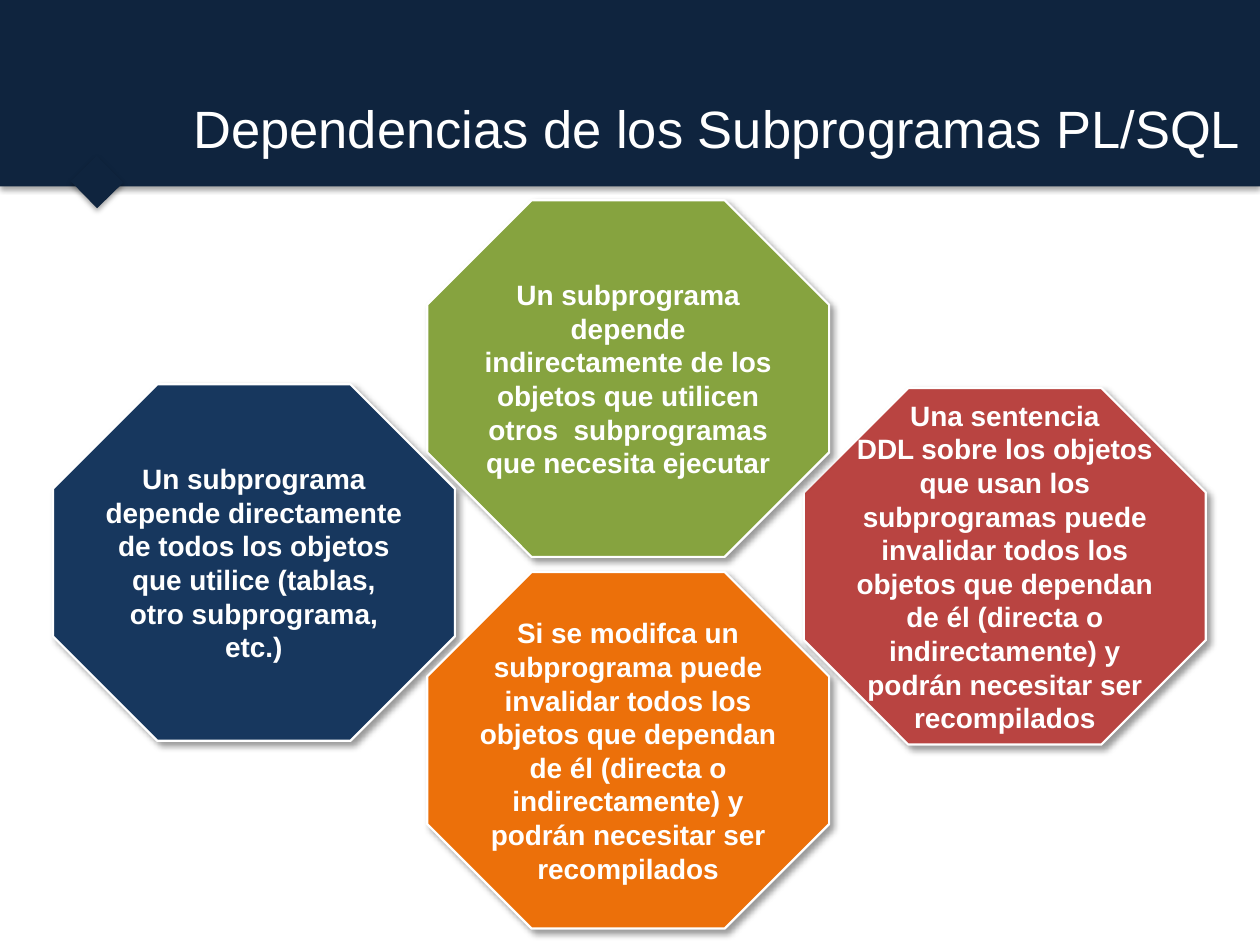
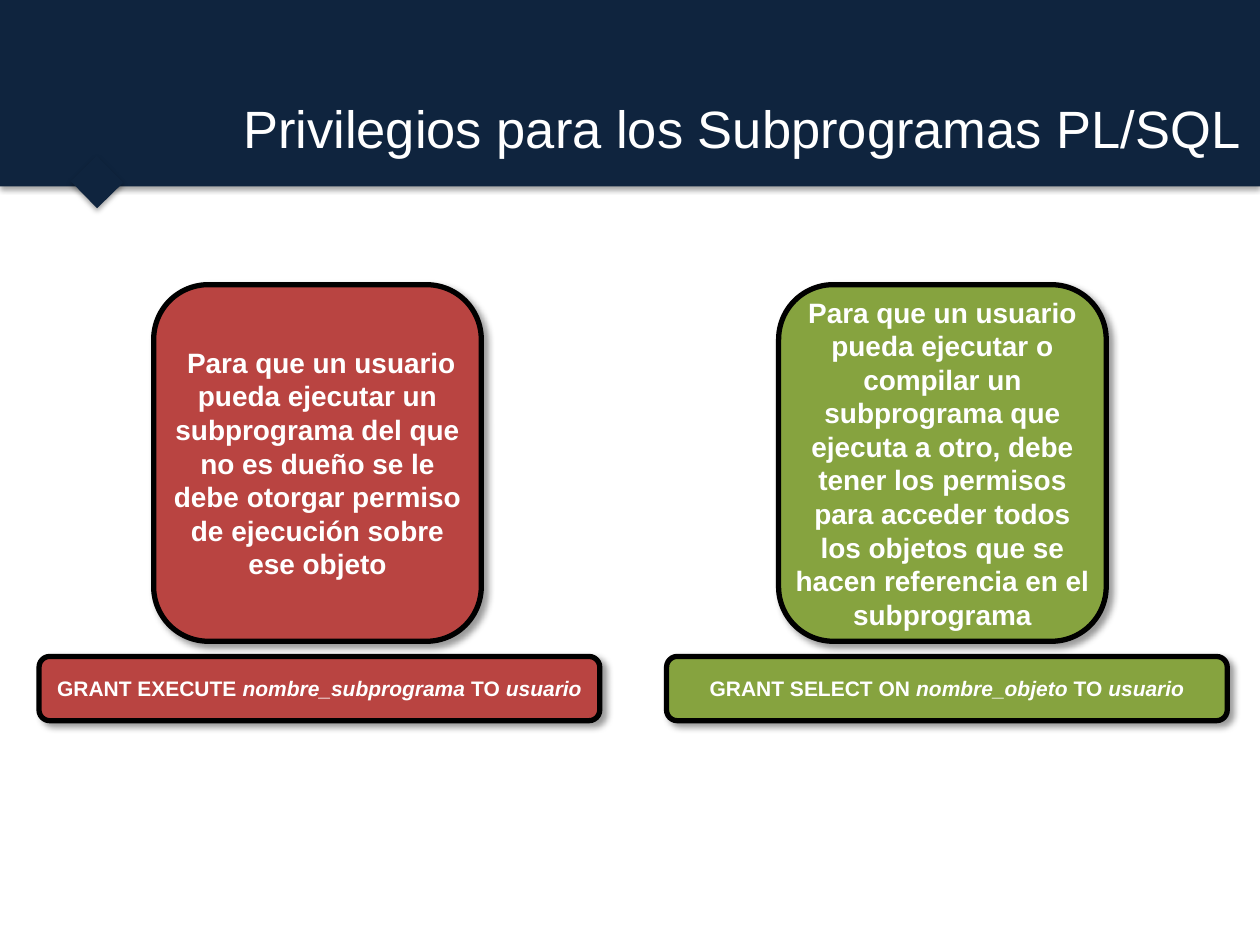
import pptx
import pptx.util
import pptx.dml.color
import pptx.enum.shapes
import pptx.enum.text
import pptx.oxml.ns
from lxml import etree
from dataclasses import dataclass

Inches = pptx.util.Inches
Shapes = pptx.enum.shapes.MSO_SHAPE
Align = pptx.enum.text.PP_ALIGN


@dataclass(frozen=True)
class Theme:
    font: str = "Arial"
    navy: str = "0F243E"
    blue: str = "17375E"
    green: str = "86A33F"
    red: str = "B94441"
    orange: str = "EC700A"
    white: str = "FFFFFF"
    black: str = "000000"
    title_size: int = 30
    body_size: int = 16
    code_size: int = 12
    # Shadows: opacity %, blur pt, distance pt, angle
    band_shadow: tuple = (35, 3.1, 1.8, 90)
    box_shadow: tuple = (40, 4, 3, 45)


THEME = Theme()

# Content: line breaks separate paragraphs, asterisks enclose italics
DEPENDENCIES_TITLE = "Dependencias de los Subprogramas PL/SQL"
OCTAGON_SIZE = (3.19, 2.83)
OCTAGONS = [  # left, top, fill, text
    (6.38, 3.08, THEME.red,
     " Una sentencia \nDDL sobre los objetos \nque usan los subprogramas puede invalidar "
     "todos los objetos que dependan de él (directa o indirectamente) y podrán necesitar "
     "ser recompilados"),
    (3.39, 1.59, THEME.green,
     "Un subprograma depende indirectamente de los objetos que utilicen otros  "
     "subprogramas que necesita ejecutar"),
    (0.42, 3.05, THEME.blue,
     "Un subprograma depende directamente de todos los objetos que utilice (tablas, "
     "otro subprograma, etc.)"),
    (3.39, 4.54, THEME.orange,
     "Si se modifca un subprograma puede invalidar todos los objetos que dependan de él "
     "(directa o indirectamente) y podrán necesitar ser recompilados"),
]

PRIVILEGES_TITLE = "Privilegios para los Subprogramas PL/SQL"
CARD_TOP, CARD_SIZE = 2.26, (2.6, 2.83)
GRANT_TOP, GRANT_SIZE = 5.21, (4.45, 0.51)
PRIVILEGES = [  # card left, grant left, fill, reason, grant
    (1.22, 0.31, THEME.red,
     " Para que un usuario pueda ejecutar un subprograma del que no es dueño se le debe "
     "otorgar permiso de ejecución sobre ese objeto",
     "GRANT EXECUTE *nombre_subprograma* TO *usuario*"),
    (6.18, 5.29, THEME.green,
     "Para que un usuario pueda ejecutar o compilar un subprograma que ejecuta a otro, "
     "debe tener los permisos para acceder todos los objetos que se hacen referencia en "
     "el subprograma",
     "GRANT SELECT ON *nombre_objeto* TO *usuario*"),
]


def rgb(color):
    return pptx.dml.color.RGBColor.from_string(color)


def write_text(frame, text, size=THEME.body_size, color=THEME.white, bold=True,
               align=Align.CENTER, inset=None):
    frame.word_wrap = True
    frame.vertical_anchor = pptx.enum.text.MSO_ANCHOR.MIDDLE
    if inset is not None:
        frame.margin_left = frame.margin_right = Inches(inset)
        frame.margin_top = frame.margin_bottom = Inches(inset)
    for index, line in enumerate(text.split("\n")):
        paragraph = frame.add_paragraph() if index else frame.paragraphs[0]
        paragraph.alignment = align
        for position, part in enumerate(line.split("*")):
            if not part:
                continue
            run = paragraph.add_run()
            run.text = part
            run.font.name = THEME.font
            run.font.size = pptx.util.Pt(size)
            run.font.bold = bold
            run.font.italic = position % 2 == 1
            run.font.color.rgb = rgb(color)


def set_shadow(shape, opacity, blur, distance, angle):
    shape.shadow.inherit = False
    qn = pptx.oxml.ns.qn
    effects = shape.element.spPr.find(qn("a:effectLst"))
    shadow = etree.SubElement(
        effects, qn("a:outerShdw"), blurRad=str(pptx.util.Pt(blur)),
        dist=str(pptx.util.Pt(distance)), dir=str(angle * 60000),
        algn="ctr", rotWithShape="0")
    color = etree.SubElement(shadow, qn("a:srgbClr"), val=THEME.black)
    etree.SubElement(color, qn("a:alpha"), val=str(opacity * 1000))


def add_box(slide, kind, left, top, size, fill, line=None, line_width=0,
            shadow=THEME.box_shadow):
    shape = slide.shapes.add_shape(kind, Inches(left), Inches(top), *map(Inches, size))
    shape.fill.solid()
    shape.fill.fore_color.rgb = rgb(fill)
    if line:
        shape.line.color.rgb = rgb(line)
        shape.line.width = pptx.util.Pt(line_width)
    else:
        shape.line.fill.background()
    set_shadow(shape, *shadow)
    return shape


def prepare_layout(layout, slide):
    """Put the title area and the band with its pointer on the shared layout."""
    for placeholder in list(layout.placeholders):
        if placeholder.placeholder_format.idx:
            layout.shapes.element.remove(placeholder.element)
        else:
            placeholder.left, placeholder.top = Inches(0.35), Inches(0.21)
            placeholder.width, placeholder.height = Inches(9.6), Inches(1.6)
    band = add_box(slide, Shapes.RECTANGLE, 0, 0, (10, 1.48), THEME.navy,
                   shadow=THEME.band_shadow)
    pointer = add_box(slide, Shapes.RECTANGLE, 0.62, 1.3, (0.3, 0.29), THEME.navy,
                      shadow=THEME.band_shadow)
    pointer.rotation = 45.6
    for position, shape in enumerate((band, pointer), start=2):
        layout.shapes.element.insert(position, shape.element)


def write_title(slide, text):
    write_text(slide.shapes.title.text_frame, text, size=THEME.title_size,
               bold=False, align=Align.RIGHT)


def build_dependencies(slide):
    write_title(slide, DEPENDENCIES_TITLE)
    for left, top, fill, text in OCTAGONS:
        octagon = add_box(slide, Shapes.OCTAGON, left, top, OCTAGON_SIZE, fill,
                          line=THEME.white, line_width=1.25)
        write_text(octagon.text_frame, text, inset=0)


def build_privileges(slide):
    write_title(slide, PRIVILEGES_TITLE)
    outline = dict(line=THEME.black, line_width=3)
    for card_left, grant_left, fill, reason, grant in PRIVILEGES:
        card = add_box(slide, Shapes.ROUNDED_RECTANGLE, card_left, CARD_TOP,
                       CARD_SIZE, fill, **outline)
        write_text(card.text_frame, reason, inset=0)
        bar = add_box(slide, Shapes.ROUNDED_RECTANGLE, grant_left, GRANT_TOP,
                      GRANT_SIZE, fill, **outline)
        write_text(bar.text_frame, grant, size=THEME.code_size)


def main():
    presentation = pptx.Presentation()
    presentation.slide_width, presentation.slide_height = Inches(10), Inches(7.5)
    layout = presentation.slide_layouts.get_by_name("Title Only")
    dependencies = presentation.slides.add_slide(layout)
    prepare_layout(layout, dependencies)
    build_dependencies(dependencies)
    build_privileges(presentation.slides.add_slide(layout))
    presentation.save("out.pptx")


if __name__ == "__main__":
    main()
